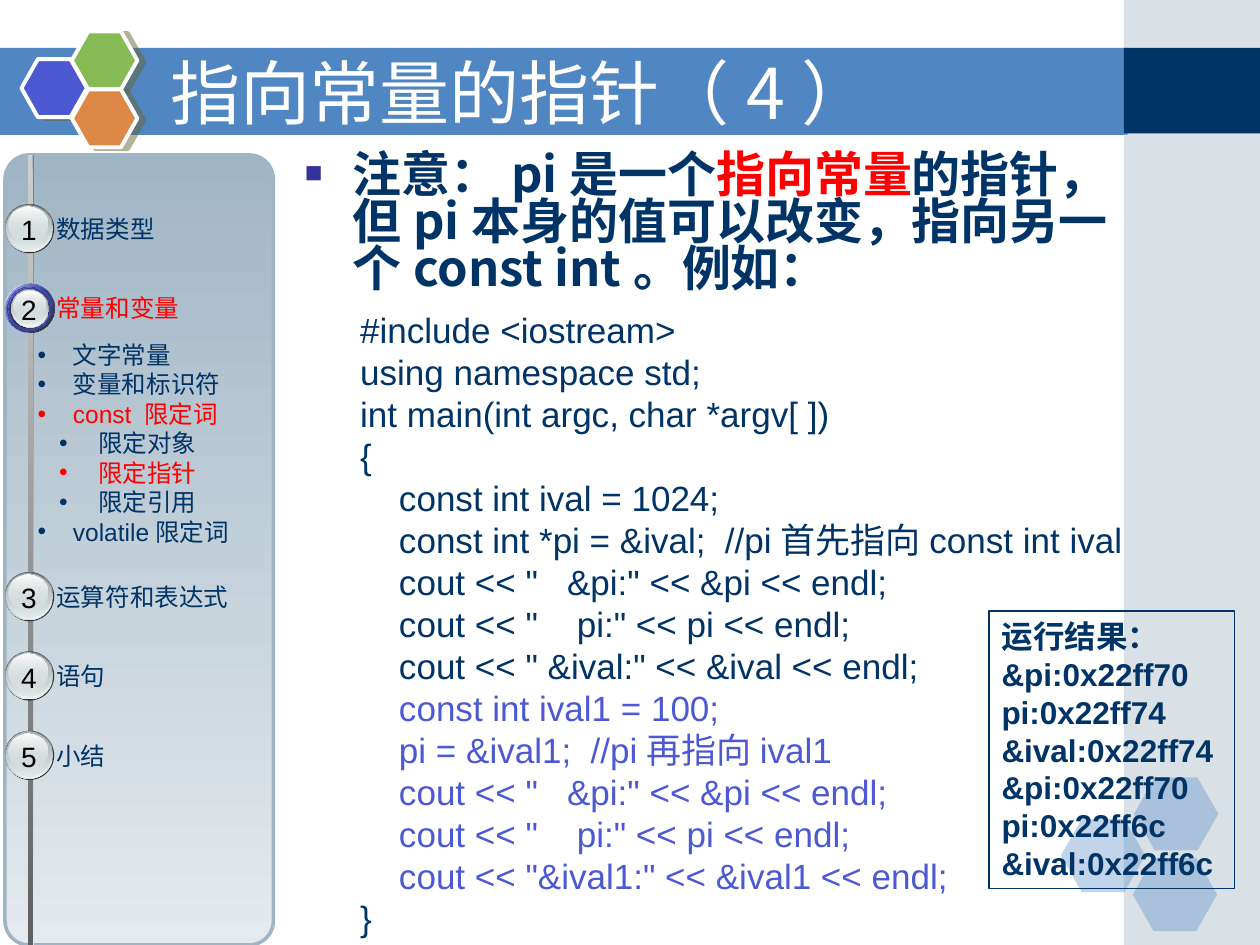
import pptx
import pptx.util
from lxml import etree
from pptx.dml.color import RGBColor
from pptx.enum.shapes import MSO_SHAPE
from pptx.enum.text import MSO_ANCHOR, MSO_AUTO_SIZE, PP_ALIGN
from pptx.oxml.ns import qn
from pptx.util import Inches, Pt

NAVY = RGBColor(0x00, 0x33, 0x66)
BLUE = RGBColor(0x50, 0x86, 0xC2)
VIOLET = RGBColor(0x4C, 0x59, 0xD2)
DEEP_VIOLET = RGBColor(0x29, 0x30, 0x72)
MID_VIOLET = RGBColor(0x30, 0x39, 0x85)
INDIGO = RGBColor(0x33, 0x33, 0x99)
GREEN = RGBColor(0x85, 0xBA, 0x54)
ORANGE = RGBColor(0xDE, 0x88, 0x48)
OLIVE = RGBColor(0x66, 0x66, 0x33)
RED = RGBColor(0xFF, 0x00, 0x00)
WHITE = RGBColor(0xFF, 0xFF, 0xFF)
BLACK = RGBColor(0x00, 0x00, 0x00)
CHARCOAL = RGBColor(0x33, 0x33, 0x33)
STEEL = RGBColor(0xA0, 0xB5, 0xC4)
PALE_STEEL = RGBColor(0xE4, 0xEA, 0xEE)
SLATE = RGBColor(0x63, 0x68, 0x69)
ASH = RGBColor(0xAA, 0xB2, 0xB3)
MIST = RGBColor(0xD6, 0xE1, 0xE2)
PALE_MIST = RGBColor(0xF1, 0xF5, 0xF5)
ROD_DARK, ROD_LIGHT = RGBColor(0x80, 0x80, 0x80), RGBColor(0xEC, 0xEC, 0xEC)
EDGE_LIGHT, EDGE_DARK = RGBColor(0xCF, 0xCF, 0xCF), RGBColor(0x5F, 0x5F, 0x5F)

CJK = "Noto Sans CJK SC"
TITLE = "指向常量的指针（4）"
NOTE = [("注意：pi是一个", NAVY), ("指向常量", RED),
        ("的指针，但pi本身的值可以改变，指向另一个const int。例如：", NAVY)]
CODE = [
    (NAVY, ["#include <iostream>",
            "using namespace std;",
            "int main(int argc, char *argv[ ])",
            "{",
            "    const int ival = 1024;",
            "    const int *pi = &ival;  //pi首先指向const int ival",
            '    cout << "   &pi:" << &pi << endl;',
            '    cout << "    pi:" << pi << endl;',
            '    cout << " &ival:" << &ival << endl;']),
    (VIOLET, ["    const int ival1 = 100;",
              "    pi = &ival1;  //pi再指向ival1",
              '    cout << "   &pi:" << &pi << endl;',
              '    cout << "    pi:" << pi << endl;',
              '    cout << "&ival1:" << &ival1 << endl;']),
    (NAVY, ["}"]),
]
RESULTS = ["运行结果：", "&pi:0x22ff70", "pi:0x22ff74", "&ival:0x22ff74",
           "&pi:0x22ff70", "pi:0x22ff6c", "&ival:0x22ff6c"]
CHAPTERS = ["数据类型", "常量和变量", "运算符和表达式", "语句", "小结"]
ACTIVE = 1
SECTIONS = [(1, "文字常量", NAVY), (1, "变量和标识符", NAVY), (1, "const 限定词", RED),
            (2, "限定对象", NAVY), (2, "限定指针", RED), (2, "限定引用", NAVY),
            (1, "volatile限定词", NAVY)]
SECTION_INDENT = {1: (0.28, -0.28), 2: (0.48, -0.31)}

# Fill: (angle, (position, colour, opacity), ...); one stop means a solid fill.
METAL = [
    (0, (0, CHARCOAL, 100)),
    (90, (0, SLATE, 100), (100, MIST, 100)),
    (90, (0, MIST, 0), (100, PALE_MIST, 100)),
    (90, (0, ASH, 100), (100, MIST, 48)),
    (90, (0, WHITE, 100), (100, MIST, 38)),
]
RING = [
    (45, (0, WHITE, 100), (50, VIOLET, 100), (100, WHITE, 100)),
    (45, (0, VIOLET, 32), (100, BLACK, 90)),
    (315, (0, DEEP_VIOLET, 100), (50, VIOLET, 100), (100, DEEP_VIOLET, 100)),
    (45, (0, MID_VIOLET, 100), (100, VIOLET, 0)),
]
# Discs: left, top below the badge's top, width, height
BADGE_DISCS = [(0.04, 0, 0.39, 0.39), (0.04, 0, 0.38, 0.38), (0.05, 0, 0.37, 0.37),
               (0.05, 0.01, 0.35, 0.35), (0.07, 0.02, 0.31, 0.28)]
RING_DISCS = [(0.04, 0, 0.39, 0.39), (0.04, 0, 0.39, 0.39),
              (0.06, 0.03, 0.34, 0.34), (0.07, 0.03, 0.34, 0.34)]
ACTIVE_DISCS = [(0.08, 0.05, 0.31, 0.31), (0.09, 0.05, 0.3, 0.3), (0.09, 0.05, 0.29, 0.29),
                (0.09, 0.05, 0.28, 0.27), (0.11, 0.06, 0.25, 0.22)]
BADGE_TOP, BADGE_STEP, SECTION_GAP = 1.62, 0.63, 1.66
LOGO = [(0.17, 0.47, VIOLET), (0.57, 0.25, GREEN), (0.57, 0.71, ORANGE)]
CORNER_HEXAGONS = [(8.42, 6.5), (9, 6.17), (8.99, 6.81)]


def solid(color, opacity=100):
    return (0, (0, color, opacity))


def add_color(parent, color, opacity):
    element = etree.SubElement(parent, qn("a:srgbClr"), val=str(color))
    if opacity < 100:
        etree.SubElement(element, qn("a:alpha"), val=str(opacity * 1000))


def add_figure(shapes, kind, box, fill):
    """Add a preset shape with a solid or gradient fill, no line and no shadow."""
    shape = shapes.add_shape(kind, *map(Inches, box))
    shape.shadow.inherit = False
    shape.line.fill.background()
    shape.fill.background()
    blank = shape.element.spPr.find(qn("a:noFill"))
    angle, *stops = fill
    if len(stops) == 1:
        paint = etree.Element(qn("a:solidFill"))
        add_color(paint, *stops[0][1:])
    else:
        paint = etree.Element(qn("a:gradFill"), rotWithShape="1")
        stop_list = etree.SubElement(paint, qn("a:gsLst"))
        for position, color, opacity in stops:
            stop = etree.SubElement(stop_list, qn("a:gs"), pos=str(position * 1000))
            add_color(stop, color, opacity)
        etree.SubElement(paint, qn("a:lin"), ang=str(angle * 60000), scaled="0")
    shape.element.spPr.replace(blank, paint)
    return shape


def add_run(paragraph, text, size, color, latin="Arial", bold=False):
    run = paragraph.add_run()
    run.text = text
    font_format = {"size": Pt(size), "name": latin, "bold": bold}
    for name, value in font_format.items():
        setattr(run.font, name, value)
    run.font.color.rgb = color
    latin_element = run.font._element.find(qn("a:latin"))
    latin_element.addnext(etree.Element(qn("a:ea"), typeface=CJK))


def set_bullet(paragraph, character, color, margin, indent, percent=100):
    properties = paragraph._p.get_or_add_pPr()
    properties.set("marL", str(Inches(margin)))
    properties.set("indent", str(Inches(indent)))
    add_color(etree.SubElement(properties, qn("a:buClr")), color, 100)
    etree.SubElement(properties, qn("a:buSzPct"), val=str(percent * 1000))
    etree.SubElement(properties, qn("a:buFont"), typeface="Arial")
    etree.SubElement(properties, qn("a:buChar"), char=character)


def add_text(shapes, box, lines, size, wrap=True, align=PP_ALIGN.LEFT, bold=False):
    """Add a text box with one paragraph for each (text, colour) line."""
    text_box = shapes.add_textbox(*map(Inches, box))
    frame = text_box.text_frame
    frame.word_wrap = wrap
    frame.auto_size = MSO_AUTO_SIZE.SHAPE_TO_FIT_TEXT
    for index, (text, color) in enumerate(lines):
        paragraph = frame.add_paragraph() if index else frame.paragraphs[0]
        paragraph.alignment = align
        add_run(paragraph, text, size, color, bold=bold)
    return text_box


def place(placeholder, box, anchor):
    """Bring a placeholder to the front, at its box, and return its first paragraph."""
    placeholder.element.getparent().append(placeholder.element)
    for name, value in zip(("left", "top", "width", "height"), box):
        setattr(placeholder, name, Inches(value))
    frame = placeholder.text_frame
    frame_format = {"word_wrap": True, "auto_size": MSO_AUTO_SIZE.NONE, "vertical_anchor": anchor}
    for name, value in frame_format.items():
        setattr(frame, name, value)
    paragraph = frame.paragraphs[0]
    paragraph.alignment = PP_ALIGN.LEFT
    paragraph.space_before = Pt(0)
    return paragraph


def add_backdrop(shapes):
    for box, fill in [((0, 0.38, 8.95, 0.69), solid(BLUE)),
                      ((8.92, 0, 1.08, 7.5), solid(STEEL, 40)),
                      ((8.92, 0.38, 1.08, 0.68), solid(NAVY))]:
        add_figure(shapes, MSO_SHAPE.RECTANGLE, box, fill)
    for left, top in CORNER_HEXAGONS:
        hexagon = add_figure(shapes, MSO_SHAPE.HEXAGON, (left, top, 0.67, 0.58), solid(BLUE, 35))
        hexagon.adjustments[0] = 0.286
    logo = shapes.add_group_shape().shapes
    for left, top, color in LOGO:
        hexagon = add_figure(logo, MSO_SHAPE.HEXAGON, (left, top, 0.52, 0.46), solid(color))
        hexagon.adjustments[0] = 0.283
        hexagon.line.color.rgb = WHITE
        hexagon.line.width = Pt(2.25)
        effects = hexagon.element.spPr.find(qn("a:effectLst"))
        shadow = etree.SubElement(effects, qn("a:outerShdw"), dist=str(Pt(4.1)),
                                  dir=str(14 * 60000), algn="ctr", rotWithShape="0")
        add_color(shadow, OLIVE, 50)


def add_sidebar(shapes):
    panel = add_figure(shapes, MSO_SHAPE.ROUNDED_RECTANGLE, (0.04, 1.23, 2.13, 6.27),
                       (90, (0, STEEL, 100), (100, PALE_STEEL, 100)))
    panel.adjustments[0] = 0.09
    panel.line.color.rgb = STEEL
    panel.line.width = Pt(2)
    for left, width, start, end in [(0.25, 0.02, ROD_DARK, ROD_LIGHT),
                                    (0.22, 0.04, EDGE_LIGHT, EDGE_DARK)]:
        add_figure(shapes, MSO_SHAPE.RECTANGLE, (left, 1.23, width, 6.27),
                   (90, (0, start, 100), (100, end, 100)))
    for index, chapter in enumerate(CHAPTERS):
        active = index == ACTIVE
        top = BADGE_TOP + index * BADGE_STEP + (SECTION_GAP if index > ACTIVE else 0)
        discs = RING_DISCS + ACTIVE_DISCS if active else BADGE_DISCS
        fills = RING + METAL if active else METAL
        for (left, drop, width, height), fill in zip(discs, fills):
            add_figure(shapes, MSO_SHAPE.OVAL, (left, top + drop, width, height), fill)
        add_text(shapes, (0.07, top + 0.02, 0.32, 0.37), [(str(index + 1), BLACK)], 16,
                 wrap=False, align=PP_ALIGN.CENTER)
        add_text(shapes, (0.35, top + 0.03, 1.73, 0.34), [(chapter, RED if active else NAVY)], 14)
    sections = add_text(shapes, (0.2, 2.65, 1.89, 1.74),
                        [(text, color) for _, text, color in SECTIONS], 14)
    for paragraph, (level, _, color) in zip(sections.text_frame.paragraphs, SECTIONS):
        paragraph.level = level
        set_bullet(paragraph, "•", color, *SECTION_INDENT[level])


def main():
    presentation = pptx.Presentation()
    presentation.slide_width, presentation.slide_height = Inches(10), Inches(7.5)
    slide = presentation.slides.add_slide(presentation.slide_layouts[1])
    shapes = slide.shapes
    add_backdrop(shapes)

    title = place(shapes.title, (1.25, 0.42, 8.32, 0.62), MSO_ANCHOR.MIDDLE)
    add_run(title, TITLE, 40, WHITE, latin=CJK)
    note = place(slide.placeholders[1], (2.32, 1.18, 6.77, 1.23), MSO_ANCHOR.TOP)
    note.line_spacing = 0.8
    set_bullet(note, "■", INDIGO, 0.38, -0.38, percent=60)
    for text, color in NOTE:
        add_run(note, text, 28, color, latin=CJK, bold=True)

    code_lines = [(text, color) for color, lines in CODE for text in lines]
    add_text(shapes, (2.76, 2.4, 6.25, 5.1), code_lines, 20, wrap=False)
    add_sidebar(shapes.add_group_shape().shapes)
    results = add_text(shapes, (7.85, 4.85, 1.95, 2.2), [(text, NAVY) for text in RESULTS], 18,
                       bold=True)
    results.line.color.rgb = NAVY
    results.line.width = Pt(0.75)
    presentation.save("out.pptx")


if __name__ == "__main__":
    main()
